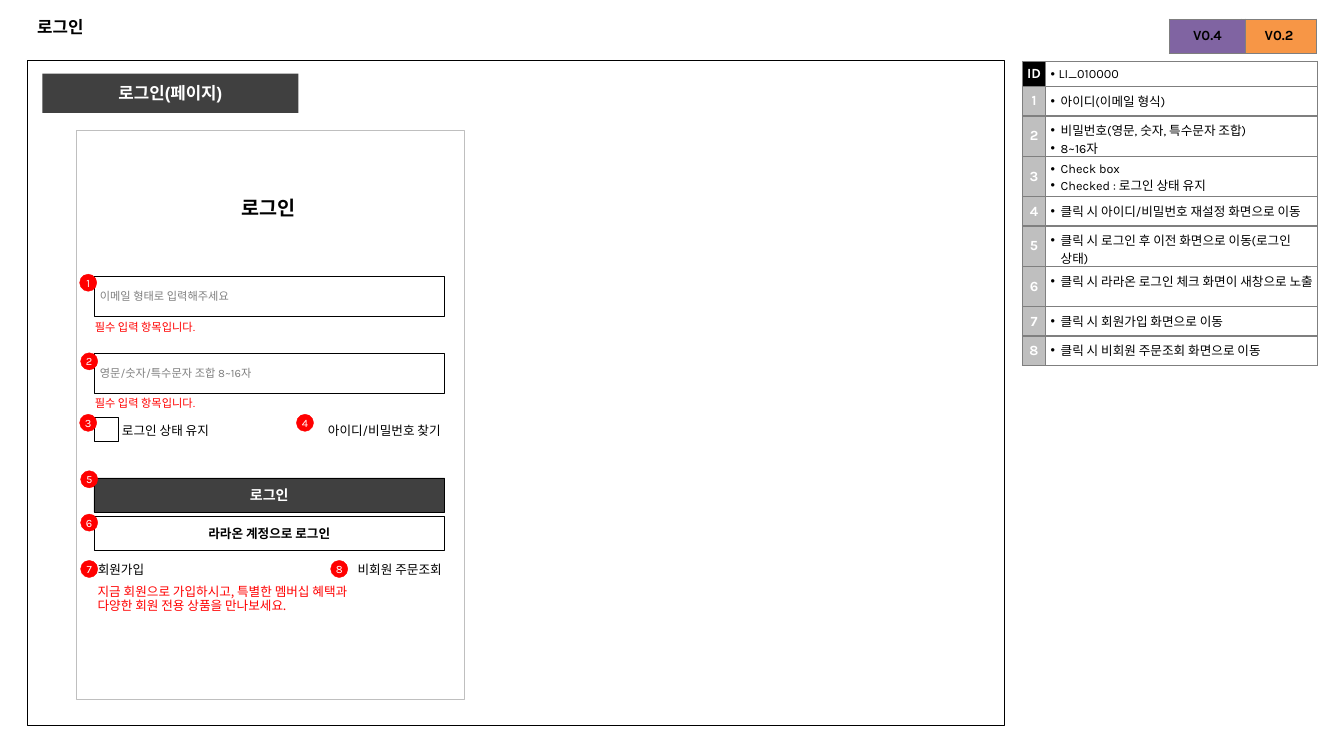
from lxml.etree import SubElement
from pptx import Presentation
from pptx.dml.color import RGBColor
from pptx.enum.shapes import MSO_SHAPE
from pptx.enum.text import MSO_ANCHOR, PP_ALIGN
from pptx.oxml.ns import qn
from pptx.util import Inches, Pt

BLACK = RGBColor(0x00, 0x00, 0x00)
WHITE = RGBColor(0xFF, 0xFF, 0xFF)
DARK = RGBColor(0x40, 0x40, 0x40)
BORDER = RGBColor(0x7F, 0x7F, 0x7F)
HINT = RGBColor(0x80, 0x80, 0x80)
SILVER = RGBColor(0xBF, 0xBF, 0xBF)
RED = RGBColor(0xFF, 0x00, 0x00)
PURPLE = RGBColor(0x80, 0x64, 0xA2)
ORANGE = RGBColor(0xF7, 0x96, 0x46)

KARLA, ARIAL, NOTO = "Karla", "Arial", "Noto Sans CJK KR"
FIELD_LEFT, FIELD_WIDTH = 0.93, 3.48
REQUIRED = "필수 입력 항목입니다."
SCREEN_ID = "LI_010000"

NOTES = [
    ["아이디(이메일 형식)"],
    ["비밀번호(영문, 숫자, 특수문자 조합)", "8~16자"],
    ["Check box", "Checked : 로그인 상태 유지"],
    ["클릭 시 아이디/비밀번호 재설정 화면으로 이동"],
    ["클릭 시 로그인 후 이전 화면으로 이동(로그인 상태)"],
    ["클릭 시 라라온 로그인 체크 화면이 새창으로 노출"],
    ["클릭 시 회원가입 화면으로 이동"],
    ["클릭 시 비회원 주문조회 화면으로 이동"],
]
NOTE_HEIGHTS = [0.29, 0.4, 0.4, 0.29, 0.4, 0.4, 0.29, 0.29]
MARKERS = [(0.79, 2.72), (0.8, 3.5), (0.79, 4.11), (2.94, 4.11),
           (0.8, 4.67), (0.8, 5.1), (0.8, 5.56), (3.28, 5.56)]


def set_margins(target, left, top, right, bottom):
    margins = {"left": left, "top": top, "right": right, "bottom": bottom}
    for side, value in margins.items():
        setattr(target, f"margin_{side}", Inches(value))


def add_bullet(para, indent):
    properties = para._p.get_or_add_pPr()
    properties.set("marL", str(Inches(indent)))
    properties.set("indent", str(-Inches(indent)))
    SubElement(properties, qn("a:buFont"), typeface="Arial")
    SubElement(properties, qn("a:buChar"), char="•")


def write(frame, lines, size, font=KARLA, color=BLACK, bold=False,
          align=PP_ALIGN.LEFT, spacing=None, bullet=None):
    """Fill a text frame, one paragraph per line; bullet is the hanging indent."""
    for index, line in enumerate(lines):
        para = frame.paragraphs[0] if index == 0 else frame.add_paragraph()
        para.alignment = align
        if spacing:
            para.line_spacing = spacing
        if bullet:
            add_bullet(para, bullet)
        span = para.add_run()
        span.text = line
        for name, value in {"size": Pt(size), "name": font, "bold": bold}.items():
            setattr(span.font, name, value)
        span.font.color.rgb = color


def add_text(page, place, lines, size, margins=(0.04,) * 4,
             anchor=MSO_ANCHOR.TOP, **style):
    box = page.shapes.add_textbox(*map(Inches, place))
    frame = box.text_frame
    frame.word_wrap = True
    frame.vertical_anchor = anchor
    set_margins(frame, *margins)
    write(frame, lines, size, **style)


def add_panel(page, place, fill=None, line=None, width=0.25, lines=(), size=9,
              margins=(0.1, 0.05, 0.1, 0.05), kind=MSO_SHAPE.RECTANGLE, **style):
    panel = page.shapes.add_shape(kind, *map(Inches, place))
    panel.shadow.inherit = False
    for paint, color in ((panel.fill, fill), (panel.line.fill, line)):
        if color is None:
            paint.background()
        else:
            paint.solid()
            paint.fore_color.rgb = color
    if line is not None:
        panel.line.width = Pt(width)
    frame = panel.text_frame
    frame.word_wrap = True
    frame.vertical_anchor = MSO_ANCHOR.MIDDLE
    set_margins(frame, *margins)
    write(frame, lines, size, **style)


def add_marker(page, number, left, top):
    add_panel(page, (left, top, 0.17, 0.17), RED, RED, lines=[str(number)], size=8,
              margins=(0,) * 4, kind=MSO_SHAPE.OVAL, color=WHITE,
              align=PP_ALIGN.CENTER)


def add_grid(page, left, top, widths, heights):
    """Add a table without banding and return it."""
    grid = page.shapes.add_table(
        len(heights), len(widths), Inches(left), Inches(top),
        Inches(sum(widths)), Inches(sum(heights))).table
    grid.first_row = grid.horz_banding = False
    for column, width in zip(grid.columns, widths):
        column.width = Inches(width)
    for row, height in zip(grid.rows, heights):
        row.height = Inches(height)
    return grid


def fill_cell(cell, lines, size, fill=None, margin=0, anchor=MSO_ANCHOR.MIDDLE,
              **style):
    set_margins(cell, *(margin,) * 4)
    cell.vertical_anchor = anchor
    properties = cell._tc.get_or_add_tcPr()
    for side in ("lnL", "lnR", "lnT", "lnB"):
        border = SubElement(properties, qn(f"a:{side}"), w=str(Pt(1)))
        paint = SubElement(border, qn("a:solidFill"))
        SubElement(paint, qn("a:srgbClr"), val=str(BORDER))
    if fill is None:
        cell.fill.background()
    else:
        cell.fill.solid()
        cell.fill.fore_color.rgb = fill
    write(cell.text_frame, lines, size, **style)


def add_version(page, left, label, fill):
    grid = add_grid(page, left, 0.19, [0.75], [0.34])
    fill_cell(grid.cell(0, 0), [label], 10, fill, bold=True, align=PP_ALIGN.CENTER)


def add_description(page):
    grid = add_grid(page, 10.14, 0.61, [0.23, 2.7], [0.25] + NOTE_HEIGHTS)
    for row, lines in enumerate([[SCREEN_ID]] + NOTES):
        fill_cell(grid.cell(row, 0), [str(row) if row else "ID"], 10,
                  SILVER if row else BLACK, color=WHITE, bold=True,
                  align=PP_ALIGN.CENTER)
        fill_cell(grid.cell(row, 1), lines, 9, margin=0.05,
                  anchor=MSO_ANCHOR.TOP, bullet=0.1 if row else 0.08)


def add_login_form(page):
    add_text(page, (1.72, 1.89, 1.89, 0.34), ["로그인"], 14, (0.1, 0.05, 0.1, 0.05),
             font=ARIAL, bold=True, align=PP_ALIGN.CENTER)
    for top, hint in ((2.74, "이메일 형태로 입력해주세요"),
                      (3.5, "영문/숫자/특수문자 조합 8~16자")):
        add_panel(page, (FIELD_LEFT, top, FIELD_WIDTH, 0.4), line=BLACK, lines=[hint],
                  size=8, margins=(0.06, 0.04, 0.04, 0.04), color=HINT)
    for top in (3.14, 3.89):
        add_text(page, (0.9, top, 1.44, 0.28), [REQUIRED], 8, color=RED)
    add_panel(page, (FIELD_LEFT, 4.14, 0.24, 0.24), line=BLACK)
    for left, top, label, align in (
            (1.17, 4.16, "로그인 상태 유지", PP_ALIGN.LEFT),
            (3.08, 4.16, "아이디/비밀번호 찾기", PP_ALIGN.RIGHT),
            (0.93, 5.53, "회원가입", PP_ALIGN.LEFT),
            (3.09, 5.53, "비회원 주문조회", PP_ALIGN.RIGHT)):
        add_text(page, (left, top, 1.33, 0.26), [label], 9, align=align)
    for top, label, size, fill, color in (
            (4.74, "로그인", 10, DARK, WHITE),
            (5.12, "라라온 계정으로 로그인", 9, WHITE, BLACK)):
        add_panel(page, (FIELD_LEFT, top, FIELD_WIDTH, 0.34), fill, BLACK,
                  lines=[label], size=size, font=NOTO, color=color, bold=True,
                  align=PP_ALIGN.CENTER)
    add_text(page, (0.87, 5.76, 3.63, 0.4),
             ["지금 회원으로 가입하시고, 특별한 멤버십 혜택과",
              "다양한 회원 전용 상품을 만나보세요."],
             9, (0.1, 0.05, 0.1, 0.05), font=NOTO, color=RED, spacing=0.9)


def main():
    deck = Presentation()
    deck.slide_width, deck.slide_height = Inches(13.33), Inches(7.5)
    page = deck.slides.add_slide(deck.slide_layouts[6])
    add_panel(page, (0.76, 1.29, 3.84, 5.65), WHITE, SILVER)
    add_panel(page, (0.27, 0.6, 9.69, 6.6), line=BLACK, width=0.75)
    add_text(page, (0.27, 0.07, 12.79, 0.39), ["로그인"], 12, (0.1, 0.05, 0.1, 0.05),
             MSO_ANCHOR.MIDDLE, font=ARIAL, bold=True)
    add_panel(page, (0.42, 0.73, 2.54, 0.39), DARK, lines=["로그인(페이지)"], size=12,
              font=ARIAL, color=WHITE, bold=True, align=PP_ALIGN.CENTER)
    add_login_form(page)
    add_description(page)
    for number, (left, top) in enumerate(MARKERS, 1):
        add_marker(page, number, left, top)
    add_version(page, 12.31, "V0.2", ORANGE)
    add_version(page, 11.6, "V0.4", PURPLE)
    deck.save("out.pptx")


if __name__ == "__main__":
    main()
